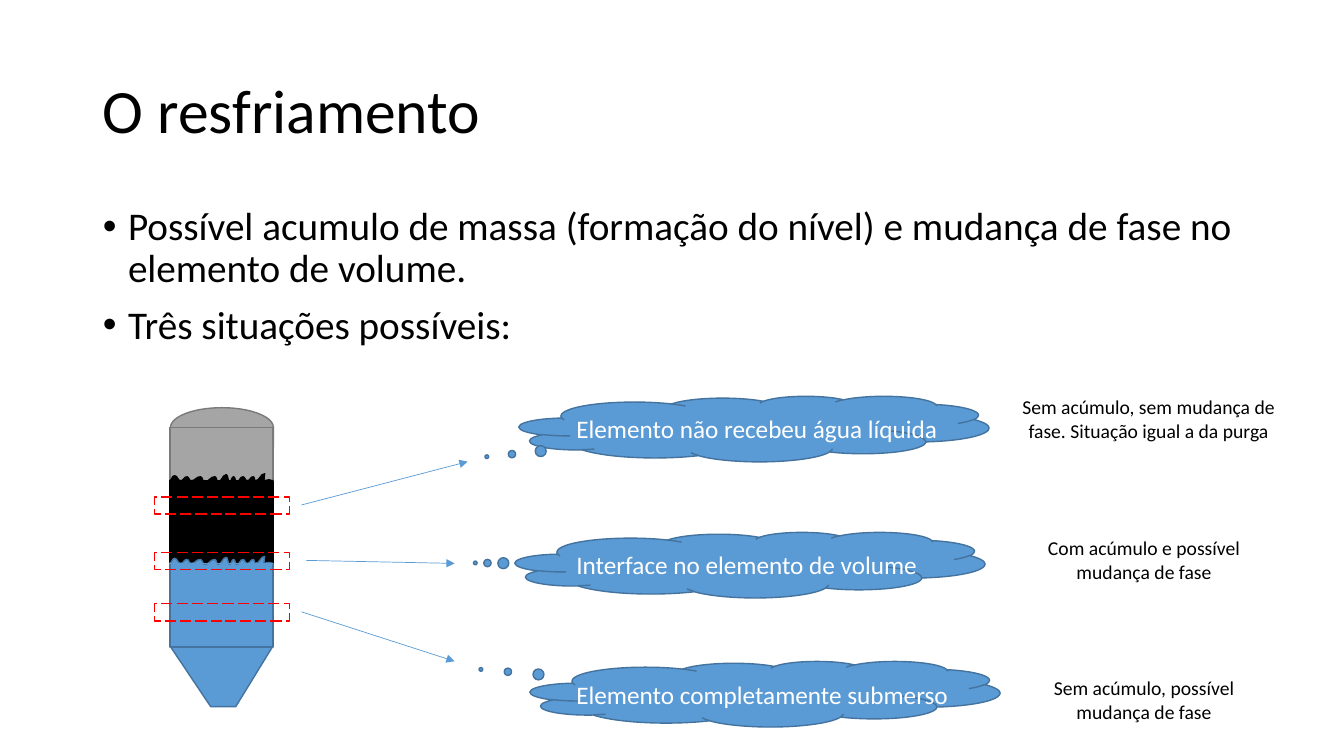
"""Builds the slide about cooling: a vessel with three volume elements and the situation of each."""
import pptx
import pptx.dml.color
import pptx.enum.dml
import pptx.enum.shapes
import pptx.enum.text
import pptx.oxml
import pptx.oxml.ns
import pptx.util

RGB = pptx.dml.color.RGBColor
SHAPES = pptx.enum.shapes.MSO_SHAPE
ALIGN = pptx.enum.text.PP_ALIGN
ANCHOR = pptx.enum.text.MSO_ANCHOR
FIT = pptx.enum.text.MSO_AUTO_SIZE
qn = pptx.oxml.ns.qn

BLUE = RGB(0x5B, 0x9B, 0xD5)
DARK_BLUE = RGB(0x43, 0x73, 0x9E)
GREY = RGB(0xA5, 0xA5, 0xA5)
DARK_GREY = RGB(0x7A, 0x7A, 0x7A)
BLACK = RGB(0, 0, 0)
WHITE = RGB(0xFF, 0xFF, 0xFF)
RED = RGB(0xFF, 0, 0)

FONT = "Calibri"
SLIDE_WIDTH = pptx.util.Inches(13.33)
SLIDE_HEIGHT = pptx.util.Inches(7.5)
VESSEL_LEFT, VESSEL_WIDTH = 12.66, 7.65
LIQUID_HEIGHT = 11.07
CONE_TOP, CONE_BOTTOM = 85.47, 93.47
WAVE_LEFT, WAVE_WIDTH = 12.6, 7.72
WAVE_TURNS = [
    (0, 0), (0.05, -0.67), (0.11, 0), (0.17, -0.53), (0.21, 0), (0.3, -0.53), (0.34, 0.13),
    (0.44, -0.53), (0.47, 0.13), (0.55, -0.8), (0.58, 0.13), (0.62, -0.53), (0.65, 0.13),
    (0.71, -0.53), (0.75, 0), (0.81, -0.53), (0.83, 0), (0.92, -0.93), (0.91, 0),
    (0.96, -0.13), (1, 0),
]
SITUATIONS = [
    {"cloud": (38.63, 52.4), "tail": (-0.569, 0.425), "label": (54, 28.73),
     "text": "Elemento não recebeu água líquida", "element": 65.73,
     "arrow": (22.43, 66.8, 34.8, 61.07), "note_box": (73.8, 51.6, 23.33, 7.6),
     "note": "Sem acúmulo, sem mudança de fase. Situação igual a da purga"},
    {"cloud": (38.33, 70.4), "tail": (-0.585, -0.03), "label": (72, 27.15),
     "text": "Interface no elemento de volume", "element": 73.07,
     "arrow": (22.8, 74.13, 33.83, 74.53), "note_box": (75.15, 70.27, 19.95, 7.6),
     "note": "Com acúmulo e possível mudança de fase"},
    {"cloud": (39.45, 87.47), "tail": (-0.605, -0.375), "label": (89.2, 29.48),
     "text": "Elemento completamente submerso", "element": 79.87,
     "arrow": (22.43, 80.93, 33.83, 87.47), "note_box": (75.15, 88.8, 19.95, 7.6),
     "note": "Sem acúmulo, possível mudança de fase"},
]


def column(share):
    """Return a length from a percentage of the slide's width."""
    return pptx.util.Emu(round(SLIDE_WIDTH * share / 100))


def row(share):
    """Return a length from a percentage of the slide's height."""
    return pptx.util.Emu(round(SLIDE_HEIGHT * share / 100))


def frame(left, top, width, height):
    """Convert a box in percentages to slide lengths."""
    return column(left), row(top), column(width), row(height)


def add_child(parent, tag, **values):
    """Append an XML element with attributes and return it."""
    child = parent.makeelement(qn(tag), values)
    parent.append(child)
    return child


def paint(item, fill, outline):
    """Give a shape its fill and a one-point outline."""
    item.shadow.inherit = False
    if fill is None:
        item.fill.background()
    else:
        item.fill.solid()
        item.fill.fore_color.rgb = fill
    item.line.color.rgb = outline
    item.line.width = pptx.util.Pt(1)
    return item


def add_preset(slide, kind, box, fill, outline):
    """Add a painted preset shape."""
    return paint(slide.shapes.add_shape(kind, *frame(*box)), fill, outline)


def add_outline(slide, points, fill, outline, close=True):
    """Add a painted outline through the given points."""
    corners = [(column(x), row(y)) for x, y in points]
    builder = slide.shapes.build_freeform(*corners[0], scale=1.0)
    builder.add_line_segments(corners[1:], close=close)
    return paint(builder.convert_to_shape(), fill, outline)


def round_off(ripples):
    """Turn the straight segments of an outline into curves with level turns."""
    points = list(ripples._element.iter(qn("a:pt")))
    places = [(int(point.get("x")), int(point.get("y"))) for point in points]
    for point, (x0, y0), (x1, y1) in zip(points[1:], places, places[1:]):
        segment = point.getparent()
        curve = segment.makeelement(qn("a:cubicBezTo"))
        middle = (x0 + x1) // 2
        for x, y in ((middle, y0), (middle, y1), (x1, y1)):
            add_child(curve, "a:pt", x=str(x), y=str(y))
        segment.getparent().replace(segment, curve)


def add_line(slide, start_x, start_y, end_x, end_y, color, arrow=False):
    """Add a thin straight line, with an arrowhead if asked."""
    line = slide.shapes.add_connector(
        pptx.enum.shapes.MSO_CONNECTOR.STRAIGHT,
        column(start_x), row(start_y), column(end_x), row(end_y))
    line.line.color.rgb = color
    line.line.width = pptx.util.Pt(0.5)
    properties = line._element.spPr
    if arrow:
        add_child(properties.find(qn("a:ln")), "a:tailEnd", type="triangle")
    add_child(properties, "a:effectLst")


def style(paragraph, size, color, align=ALIGN.LEFT):
    """Format a paragraph and its runs."""
    paragraph.alignment = align
    for run in paragraph.runs:
        run.font.name = FONT
        run.font.size = pptx.util.Pt(size)
        run.font.color.rgb = color


def add_text(slide, text, box, size, color, align=ALIGN.LEFT, wrap=True):
    """Add a text box with one paragraph."""
    content = slide.shapes.add_textbox(*frame(*box)).text_frame
    content.text = text
    content.word_wrap = wrap
    content.auto_size = FIT.SHAPE_TO_FIT_TEXT
    style(content.paragraphs[0], size, color, align)


def fill_placeholder(holder, lines, box, size, anchor):
    """Move a placeholder and write its paragraphs."""
    holder.left, holder.top, holder.width, holder.height = frame(*box)
    content = holder.text_frame
    content.text = "\n".join(lines)
    content.auto_size = FIT.NONE
    content.vertical_anchor = anchor
    for paragraph in content.paragraphs:
        paragraph.line_spacing = 0.9
        style(paragraph, size, BLACK)


def add_bullets(holder):
    """Indent a list and give it round bullets."""
    indent = pptx.util.Inches(0.25)
    for paragraph in holder.text_frame.paragraphs:
        paragraph.space_before = pptx.util.Pt(10)
        properties = paragraph._p.get_or_add_pPr()
        properties.set("marL", str(indent))
        properties.set("indent", str(-indent))
        add_child(properties, "a:buFont", typeface="Arial")
        add_child(properties, "a:buChar", char="•")


def add_liquid(slide, top, fill, outline):
    """Add a layer of liquid with a rippled surface."""
    add_preset(slide, SHAPES.RECTANGLE, (VESSEL_LEFT, top, VESSEL_WIDTH, LIQUID_HEIGHT), fill, outline)
    turns = [(WAVE_LEFT + WAVE_WIDTH * x, top + y) for x, y in WAVE_TURNS]
    round_off(add_outline(slide, turns, fill, outline, close=False))
    add_line(slide, WAVE_LEFT, top, WAVE_LEFT + WAVE_WIDTH, top, fill)


def add_vessel(slide):
    """Add the vessel with its cap, body, cone and two liquids."""
    cap = add_preset(slide, SHAPES.FLOWCHART_DELAY, (15.05, 49.73, 2.93, 13.6), GREY, DARK_GREY)
    cap.rotation = 270
    add_preset(slide, SHAPES.RECTANGLE, (VESSEL_LEFT, 56.53, VESSEL_WIDTH, 28.93), GREY, DARK_GREY)
    cone = [(VESSEL_LEFT, CONE_TOP), (VESSEL_LEFT + VESSEL_WIDTH, CONE_TOP),
            (17.55, CONE_BOTTOM), (15.68, CONE_BOTTOM)]
    add_outline(slide, cone, BLUE, DARK_BLUE)
    add_liquid(slide, 63.6, BLACK, BLACK)
    add_liquid(slide, 74.53, BLUE, DARK_BLUE)


def add_situation(slide, situation):
    """Add a volume element, its arrow, its cloud and its note."""
    cloud = add_preset(slide, SHAPES.CLOUD_CALLOUT, (*situation["cloud"], 34.95, 8.67), BLUE, DARK_BLUE)
    cloud.adjustments[0], cloud.adjustments[1] = situation["tail"]
    label_top, label_width = situation["label"]
    add_text(slide, situation["text"], (42.15, label_top, label_width, 5.33), 18, WHITE, wrap=False)
    add_line(slide, *situation["arrow"], BLUE, arrow=True)
    add_text(slide, situation["note"], situation["note_box"], 14, BLACK, ALIGN.CENTER)
    element = add_preset(slide, SHAPES.RECTANGLE, (11.48, situation["element"], 10.05, 2.27), None, RED)
    element.line.dash_style = pptx.enum.dml.MSO_LINE.LONG_DASH


def main():
    """Build and save the slide."""
    deck = pptx.Presentation()
    deck.slide_width, deck.slide_height = SLIDE_WIDTH, SLIDE_HEIGHT
    slide = deck.slides.add_slide(deck.slide_layouts[1])
    title, body = slide.placeholders
    fill_placeholder(title, ["O resfriamento"], (6.9, 5.33, 86.25, 19.33), 44, ANCHOR.MIDDLE)
    fill_placeholder(body, [
        "Possível acumulo de massa (formação do nível) e mudança de fase no elemento de volume.",
        "Três situações possíveis:",
    ], (6.9, 26.67, 86.25, 22.8), 28, ANCHOR.TOP)
    add_bullets(body)
    add_vessel(slide)
    for situation in SITUATIONS:
        add_situation(slide, situation)
    deck.save("out.pptx")


if __name__ == "__main__":
    main()
